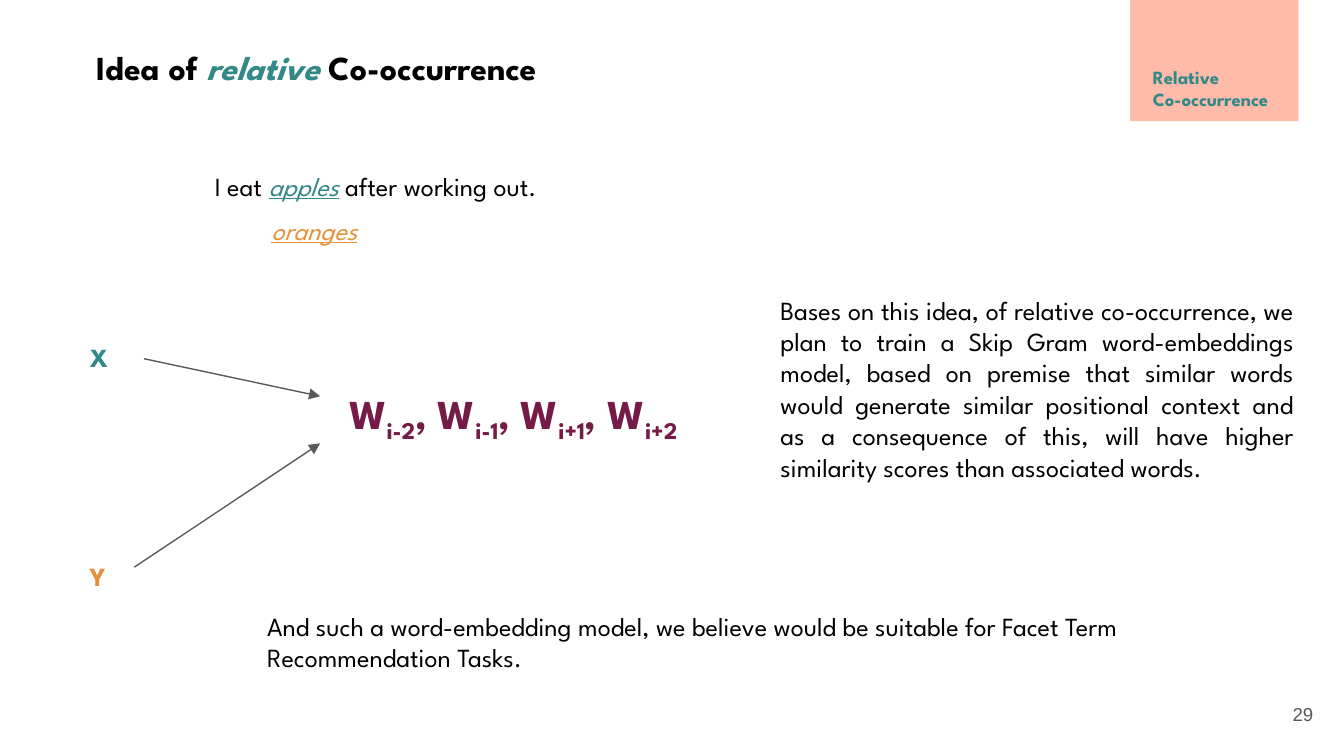
from lxml import etree
from pptx import Presentation, util as u
from pptx.dml.color import RGBColor
from pptx.enum import shapes, text
from pptx.oxml.ns import qn

COLORS = {
    "black": "000000",
    "teal": "338987",
    "orange": "E69138",
    "plum": "741B47",
    "gray": "595959",
    "peach": "FFB8A5",
}
ALIGN = text.PP_ALIGN

prs = Presentation()
prs.slide_width, prs.slide_height = u.Cm(25.4), u.Cm(14.29)
s = prs.slides.add_slide(prs.slide_layouts[6])


def add_text(paragraphs, at, size=14, color="black", bold=False, font="League Spartan",
             align=ALIGN.LEFT, anchor=text.MSO_ANCHOR.TOP, line=None, gap=0):
    tf = s.shapes.add_textbox(*map(u.Cm, at)).text_frame
    tf.word_wrap = True
    tf.vertical_anchor = anchor
    tf.margin_left = tf.margin_right = tf.margin_top = tf.margin_bottom = u.Cm(0.25)
    for i, runs in enumerate(paragraphs):
        p = tf.add_paragraph() if i else tf.paragraphs[0]
        p.alignment = align
        p.space_before = u.Pt(gap if i else 0)
        if line:
            p.line_spacing = line
        for words, style in runs:
            if words == "\n":
                p.add_line_break()
                continue
            r = p.add_run()
            r.text = words
            r.font.name, r.font.size, r.font.bold = font, u.Pt(size), bold
            r.font.italic = style.get("italic", False)
            r.font.underline = style.get("underline", False)
            r.font.color.rgb = RGBColor.from_string(COLORS[style.get("color", color)])
            if style.get("sub"):
                r._r.get_or_add_rPr().set("baseline", "-25000")


tag = s.shapes.add_shape(shapes.MSO_SHAPE.RECTANGLE, *map(u.Cm, (21.36, -0.18, 3.18, 2.47)))
tag.shadow.inherit = False
tag.fill.solid()
tag.fill.fore_color.rgb = RGBColor.from_string(COLORS["peach"])
tag.line.fill.background()
fill_color = tag._element.spPr.find(qn("a:solidFill"))[0]
etree.SubElement(fill_color, qn("a:alpha")).set("val", "95000")

add_text([[("29", {})]], (23.55, 12.95, 1.52, 1.09), size=10, color="gray", font="Arial",
         align=ALIGN.RIGHT, anchor=text.MSO_ANCHOR.MIDDLE)
add_text([[("Idea of ", {}), ("relative", {"color": "teal", "italic": True}), (" Co-occurrence", {})]],
         (1.57, 0.64, 12.32, 1.45), size=18, bold=True)
add_text([[("I eat ", {}), ("apples", {"color": "teal", "italic": True, "underline": True}),
           (" after working out.", {})]], (3.81, 2.97, 16.13, 1.98))
add_text([[("Relative ", {}), ("\n", {}), ("Co-occurrence", {})]],
         (21.54, 0.99, 2.87, 1.09), size=10, color="teal", bold=True)
add_text([[("X", {"color": "teal"})], [("Y", {"color": "orange"})]],
         (1.45, 6.2, 2.87, 2.84), bold=True, gap=100.8)

context = []
for i, offset in enumerate(("i-2", "i-1", "i+1", "i+2")):
    context += [(", W" if i else "W", {}), (offset, {"sub": True})]
add_text([context], (6.35, 6.78, 7.82, 2.49), size=22, color="plum", bold=True,
         align=ALIGN.JUSTIFY, line=1.3)

for ends in ((2.72, 6.78, 6.05, 7.49), (2.54, 10.72, 6.05, 8.38)):
    arrow = s.shapes.add_connector(shapes.MSO_CONNECTOR.STRAIGHT, *map(u.Cm, ends))
    arrow.line.color.rgb = RGBColor.from_string(COLORS["gray"])
    arrow.line.width = u.Pt(0.75)
    etree.SubElement(arrow.line._get_or_add_ln(), qn("a:tailEnd")).set("type", "triangle")
    etree.SubElement(arrow._element.spPr, qn("a:effectLst"))

add_text([[("Bases on this idea, of relative co-occurrence, we plan to train a Skip Gram "
            "word-embeddings model, based on premise that similar words would generate similar "
            "positional context and as a consequence of this, will have higher similarity scores "
            "than associated words.", {})]], (14.5, 5.31, 10.21, 5.92), align=ALIGN.JUSTIFY)
add_text([[("oranges", {"italic": True, "underline": True})]], (4.88, 3.81, 4.67, 1.27), color="orange")
add_text([[("And such a word-embedding model, we believe would be suitable for Facet Term "
            "Recommendation Tasks.", {})]], (4.8, 11.28, 17.53, 1.68))

prs.save("out.pptx")
